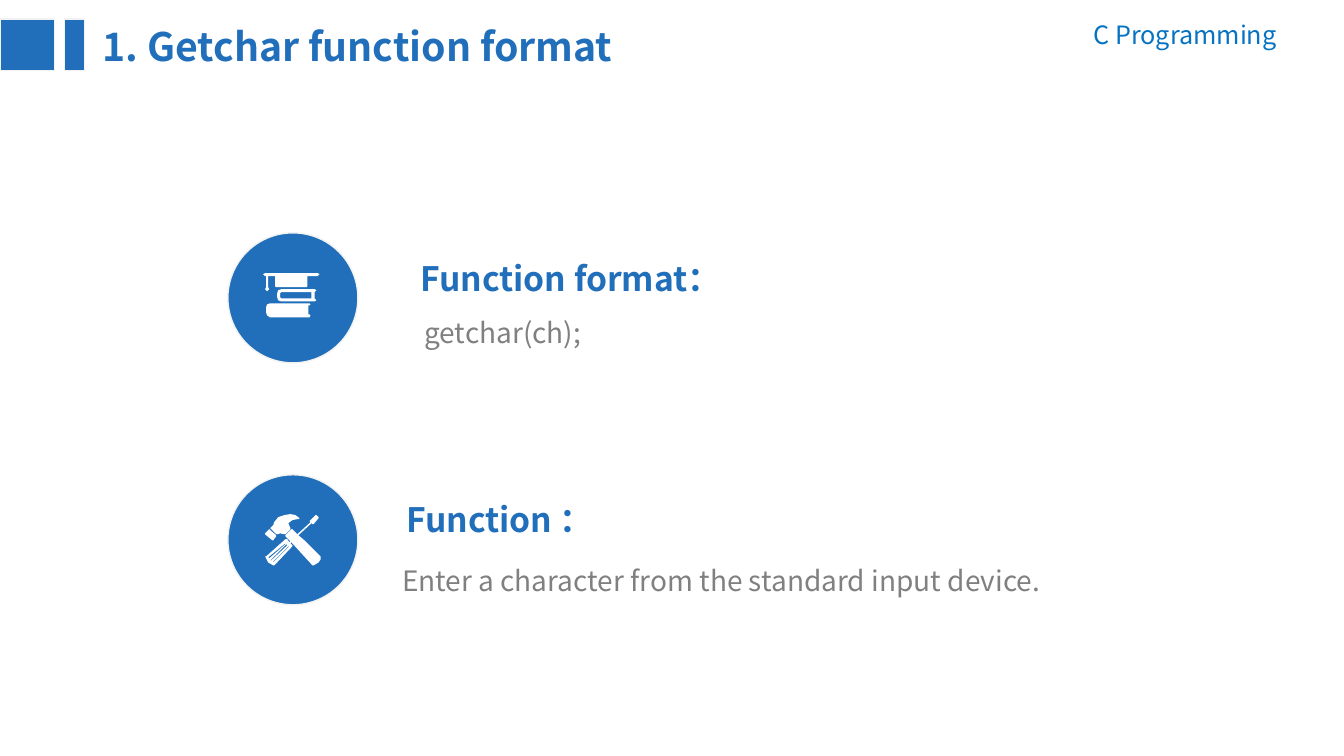
from pptx import Presentation
from pptx.dml.color import RGBColor
from pptx.enum.shapes import MSO_SHAPE as SHAPE
from pptx.enum.text import MSO_AUTO_SIZE as AUTO, PP_ALIGN as ALIGN
from pptx.oxml.ns import qn
from pptx.util import Inches, Pt
from lxml import etree

FONT = "Noto Sans CJK SC"
COLORS = {"blue": "216FBA", "course": "0573C2", "gray": "808080",
          "edge": "F2F2F2", "white": "FFFFFF"}

# Lengths are cells of a 1333 x 750 grid over the slide
COLS, ROWS = 1333, 750
CELL = Inches(0.01)

# Content
COURSE = "C Programming"
TITLE = "1. Getchar function format"
TITLE_BARS = [(0, 54), (64, 20)]  # left, width

# Icon outlines, in cells from the corner of the circle
BOOKS = [
    # lower book
    [(82, 82), (81, 84), (42, 84), (39, 82), (38, 79), (38, 74), (39, 71), (42, 70),
     (81, 70), (82, 71), (81, 72), (80, 72), (80, 81), (81, 81)],
    # upper book and its pages
    [(88, 67), (86, 68), (53, 68), (50, 67), (49, 64), (49, 60), (50, 57), (53, 56),
     (86, 56), (88, 57), (86, 59), (86, 65)],
    [(53, 65), (83, 65), (83, 59), (53, 59), (52, 60), (52, 64)],
    # graduation cap with tassel
    [(89, 40), (37, 40), (35, 41), (37, 43), (38, 43), (38, 54), (37, 56), (39, 58),
     (41, 56), (40, 54), (40, 43), (47, 43), (47, 53), (48, 54), (78, 54), (79, 53),
     (79, 43), (89, 43), (91, 41)],
]
TOOLS = [
    # grooves of the grip
    [(60, 71), (45, 86), (45, 87), (61, 71)],
    [(58, 69), (42, 85), (43, 85), (59, 70)],
    [(57, 68), (40, 82), (41, 83), (57, 69)],
    # hammer face
    [(41, 54), (42, 55), (48, 60), (48, 61), (45, 65), (44, 65), (38, 60), (37, 59),
     (37, 58)],
    # screwdriver and hammer handle
    [(87, 40), (88, 40), (90, 42), (90, 43), (85, 49), (84, 49), (83, 48), (70, 60),
     (77, 66), (92, 81), (92, 84), (90, 87), (85, 90), (84, 90), (63, 67), (62, 68),
     (64, 70), (64, 71), (46, 90), (45, 90), (40, 87), (37, 81), (38, 81), (57, 64),
     (59, 64), (61, 67), (62, 66), (57, 61), (57, 60), (63, 54), (64, 54), (69, 59),
     (82, 47), (81, 46), (82, 45)],
    # hammer head
    [(62, 39), (67, 40), (71, 43), (71, 44), (69, 44), (64, 45), (60, 48), (62, 53),
     (62, 54), (57, 59), (55, 59), (52, 58), (50, 59), (48, 59), (43, 54), (42, 53),
     (45, 50), (46, 47), (50, 42), (56, 40)],
]

# icon, heading and its box, body and its box
ITEMS = [
    (BOOKS, "Function format：", (407, 243, 402, 58),
     "getchar(ch);", (411, 291, 649, 55)),
    (TOOLS, "Function ：", (393, 482, 543, 58),
     "Enter a character from the standard input device.", (389, 537, 704, 60)),
]
CIRCLE_LEFT, CIRCLE_TOP, CIRCLE_SIZE, ITEM_PITCH = 226, 231, 129, 240


def rgb(name):
    return RGBColor.from_string(COLORS[name])


def cells(*values):
    return [round(v * CELL) for v in values]


def add_text(slide, text, box, size, color, bold=False, align=ALIGN.LEFT, spacing=1.0):
    tf = slide.shapes.add_textbox(*cells(*box)).text_frame
    tf.word_wrap = True
    tf.auto_size = AUTO.SHAPE_TO_FIT_TEXT
    p = tf.paragraphs[0]
    p.alignment, p.line_spacing = align, spacing
    r = p.add_run()
    r.text = text
    r.font.name, r.font.size, r.font.bold = FONT, Pt(size), bold
    r.font.color.rgb = rgb(color)
    etree.SubElement(r.font._element, qn("a:ea"), typeface=FONT)


def add_blue(slide, kind, box):
    sp = slide.shapes.add_shape(kind, *cells(*box))
    sp.shadow.inherit = False
    sp.fill.solid()
    sp.fill.fore_color.rgb = rgb("blue")
    sp.line.color.rgb = rgb("edge")
    sp.line.width = Pt(1)


def add_icon(slide, outlines, left, top):
    builder = slide.shapes.build_freeform(*outlines[0][0], scale=CELL)
    for i, outline in enumerate(outlines):
        if i:
            builder.move_to(*outline[0])
        builder.add_line_segments(outline[1:], close=True)
    sp = builder.convert_to_shape(*cells(left, top))
    sp.shadow.inherit = False
    sp.fill.solid()
    sp.fill.fore_color.rgb = rgb("white")
    sp.line.fill.background()


def main():
    prs = Presentation()
    prs.slide_width, prs.slide_height = cells(COLS, ROWS)
    slide = prs.slides.add_slide(prs.slide_layouts[6])

    # Header
    add_text(slide, COURSE, (976, 14, 300, 40), 18, "course", align=ALIGN.RIGHT)
    add_text(slide, TITLE, (92, 17, 800, 57), 28, "blue", bold=True)
    for left, width in TITLE_BARS:
        add_blue(slide, SHAPE.RECTANGLE, (left, 19, width, 51))

    # Items
    for i, (icon, heading, heading_box, body, body_box) in enumerate(ITEMS):
        top = CIRCLE_TOP + i * ITEM_PITCH
        add_blue(slide, SHAPE.OVAL, (CIRCLE_LEFT, top, CIRCLE_SIZE, CIRCLE_SIZE))
        add_icon(slide, icon, CIRCLE_LEFT, top)
        add_text(slide, heading, heading_box, 24, "blue", bold=True, spacing=1.2)
        add_text(slide, body, body_box, 20, "gray", spacing=1.5)

    prs.save("out.pptx")


if __name__ == "__main__":
    main()
